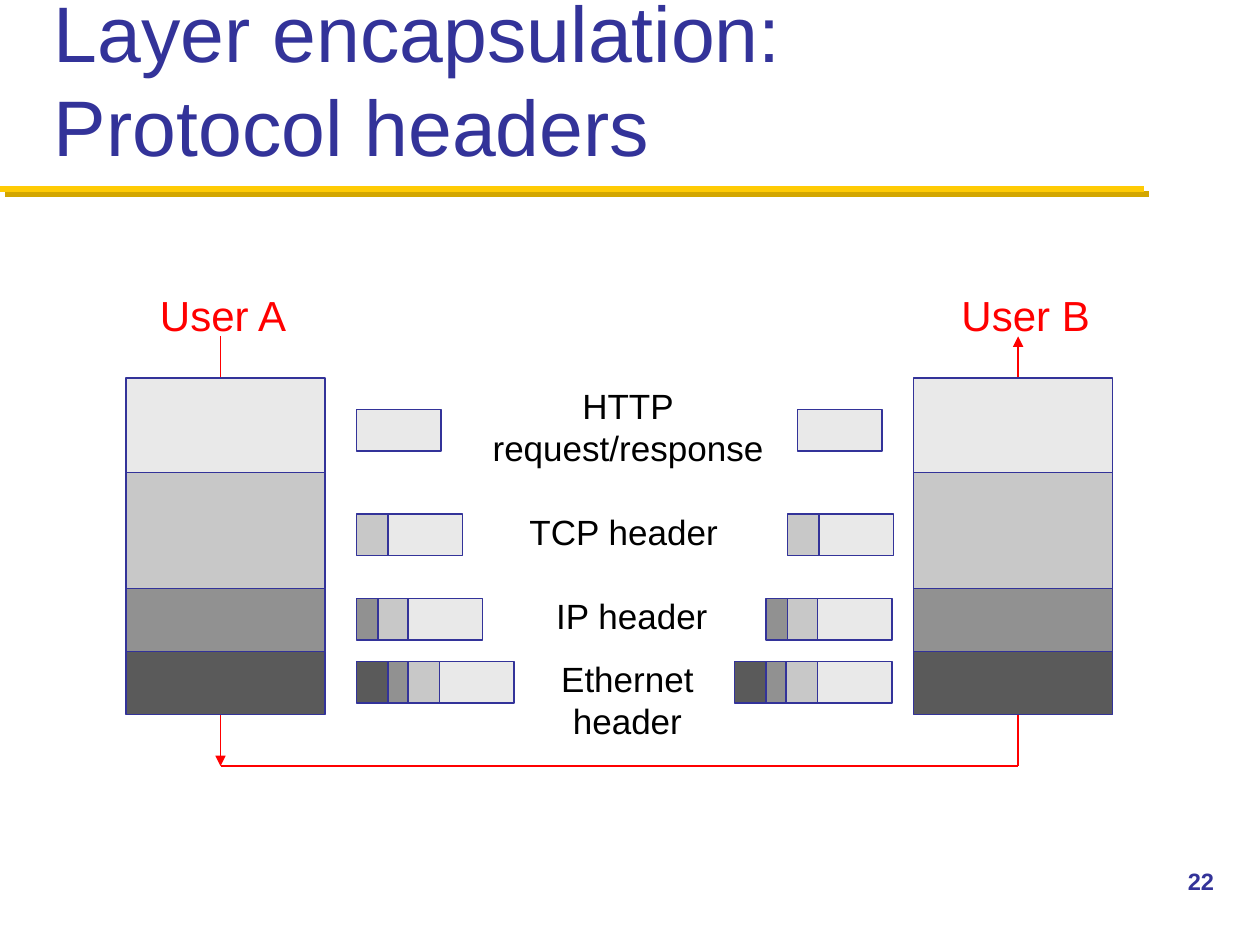
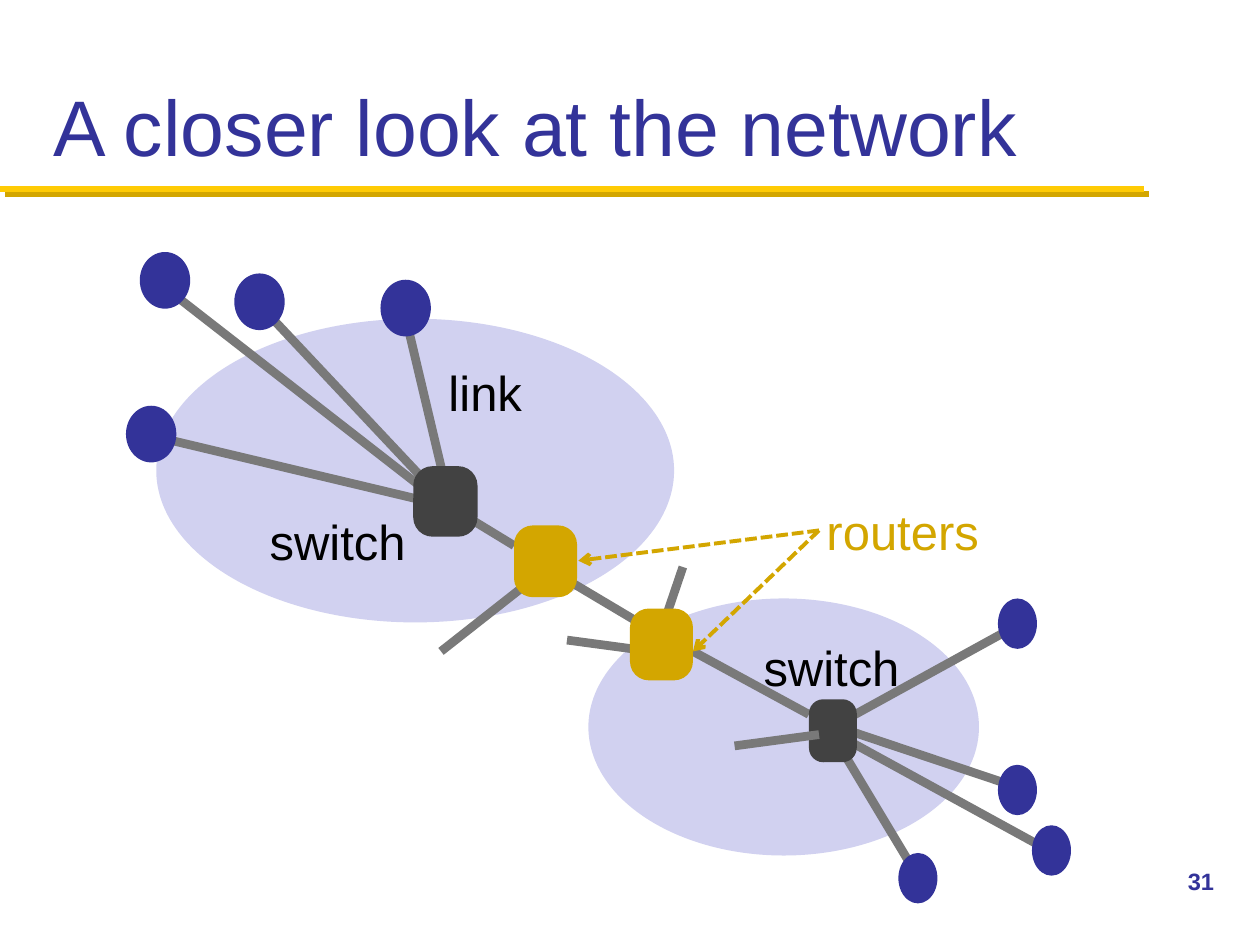
from pptx import Presentation
from pptx.dml.color import RGBColor
from pptx.enum.dml import MSO_LINE
from pptx.enum.shapes import MSO_CONNECTOR, MSO_SHAPE
from pptx.enum.text import MSO_ANCHOR as ANCHOR, PP_ALIGN as ALIGN
from pptx.oxml import parse_xml
from pptx.oxml.ns import nsdecls, qn
from pptx.util import Inches, Pt
from lxml import etree

FONT = "Arial"
NAVY, YELLOW, GOLD = "333399", "FFCB05", "D3A600"
RED, BLACK = "FF0000", "000000"
LINK, SWITCH, AREA = "797979", "424242", "D1D1F0"
# Protocol layers from top to bottom
HTTP, TCP, IP, ETHERNET = "E9E9E9", "C8C8C8", "919191", "5A5A5A"


def rgb(code):
    """Turn a hex string into a colour."""
    return RGBColor.from_string(code)


def shift(origin, x, y):
    """Move a point from a region's own coordinates to the page."""
    return origin[0] + x, origin[1] + y


def add_text(page, box, text, size, color, align=ALIGN.LEFT, anchor=ANCHOR.TOP,
             wrap=False, inset=(0.1, 0.05), bold=False):
    """Add a text box with one style throughout."""
    frame = page.shapes.add_textbox(*map(Inches, box)).text_frame
    frame.word_wrap = wrap
    frame.vertical_anchor = anchor
    frame.margin_left = frame.margin_right = Inches(inset[0])
    frame.margin_top = frame.margin_bottom = Inches(inset[1])
    frame.text = text
    for para in frame.paragraphs:
        para.alignment = align
        for span in para.runs:
            span.font.name = FONT
            span.font.size = Pt(size)
            span.font.bold = bold
            span.font.color.rgb = rgb(color)


def add_block(page, kind, box, fill, outline=None):
    """Add a filled preset shape, outlined only when a colour is given."""
    shape = page.shapes.add_shape(kind, *map(Inches, box))
    shape.shadow.inherit = False
    shape.fill.solid()
    shape.fill.fore_color.rgb = rgb(fill)
    if outline:
        shape.line.color.rgb = rgb(outline)
        shape.line.width = Pt(0.75)
    else:
        shape.line.fill.background()
    if kind == MSO_SHAPE.ROUNDED_RECTANGLE:
        shape.adjustments[0] = 0.3


def add_line(page, start, end, color, width, head=None, dash=None):
    """Add a straight line, with an arrowhead at its end if asked; return its effects."""
    line = page.shapes.add_connector(
        MSO_CONNECTOR.STRAIGHT, *map(Inches, (*start, *end)))
    line.line.color.rgb = rgb(color)
    line.line.width = Pt(width)
    if dash:
        line.line.dash_style = dash
    properties = line._element.spPr
    if head:
        etree.SubElement(properties.find(qn("a:ln")), qn("a:tailEnd"), type=head)
    return etree.SubElement(properties, qn("a:effectLst"))


def new_page(deck, title, number):
    """Start a slide with the shared rule, title and page number."""
    page = deck.slides.add_slide(deck.slide_layouts[6])
    effects = add_line(page, (0, 1.5), (9.08, 1.5), YELLOW, 3.5)
    effects.append(parse_xml(
        f'<a:outerShdw {nsdecls("a")} dist="{Pt(4.2)}" dir="2700000" algn="ctr" '
        f'rotWithShape="0"><a:srgbClr val="{GOLD}"/></a:outerShdw>'))
    add_text(page, (0.33, 0.17, 9.33, 1.25), title, 45, NAVY,
             anchor=ANCHOR.BOTTOM, wrap=True)
    add_text(page, (9.33, 6.83, 0.67, 0.5), str(number), 13.5, NAVY,
             wrap=True, bold=True)
    return page


def add_stack(page, left, top):
    """Draw one user's protocol stack."""
    for height, color in ((0.75, HTTP), (0.92, TCP), (0.5, IP), (0.5, ETHERNET)):
        add_block(page, MSO_SHAPE.RECTANGLE, (left, top, 1.58, height), color, NAVY)
        top += height


def add_packet(page, left, top, pieces):
    """Draw a packet: the payload first, each header overlapping the one before."""
    for offset, width, color in pieces:
        add_block(page, MSO_SHAPE.RECTANGLE,
                  (left + offset, top, width, 0.33), color, NAVY)


def add_encapsulation(page, origin):
    """Draw two stacks, the packets between them and the route of the data."""
    start_x, end_x, user_y, wire_y = 0.75, 7.08, 0.42, 3.83
    for start, end, head in (
            ((start_x, user_y), (start_x, wire_y), "triangle"),
            ((end_x, wire_y), (end_x, user_y), "triangle"),
            ((start_x, wire_y), (end_x, wire_y), None)):
        add_line(page, shift(origin, *start), shift(origin, *end), RED, 0.75, head)

    for x, label_x, user in ((0, 0.16, "User A"), (6.25, 6.53, "User B")):
        add_stack(page, *shift(origin, x, 0.75))
        add_text(page, (*shift(origin, label_x, 0), 1.22, 0.51), user, 24, RED,
                 ALIGN.CENTER)

    # Packet top, left edge on each side, pieces as (offset, width, colour)
    packets = (
        (1, 1.83, 5.33, [(0, 0.67, HTTP)]),
        (1.83, 1.83, 5.25, [(0.17, 0.67, HTTP), (0, 0.25, TCP)]),
        (2.5, 1.83, 5.08, [(0.33, 0.67, HTTP), (0.08, 0.33, TCP), (0, 0.17, IP)]),
        (3, 1.83, 4.83, [(0.58, 0.67, HTTP), (0.33, 0.33, TCP),
                         (0.08, 0.33, IP), (0, 0.25, ETHERNET)]),
    )
    for y, sender_x, receiver_x, pieces in packets:
        for x in (sender_x, receiver_x):
            add_packet(page, *shift(origin, x, y), pieces)

    for x, y, width, height, label in (
            (2.8, 0.75, 2.37, 0.77, "HTTP\nrequest/response"),
            (3.07, 1.75, 1.76, 0.44, "TCP header"),
            (3.13, 2.42, 1.77, 0.44, "IP header"),
            (3.35, 2.92, 1.26, 0.77, "Ethernet\nheader")):
        add_text(page, (*shift(origin, x, y), width, height), label, 20, BLACK,
                 ALIGN.CENTER)


def add_links(page, origin, links):
    """Draw thick grey links given as (x1, y1, x2, y2)."""
    for x1, y1, x2, y2 in links:
        add_line(page, shift(origin, x1, y1), shift(origin, x2, y2), LINK, 5)


def add_nodes(page, origin, kind, size, color, places):
    """Draw equal nodes at the given top left corners."""
    for place in places:
        add_block(page, kind, (*shift(origin, *place), *size), color)


def add_network(page, origin):
    """Draw two local networks joined by routers, with labels."""
    oval, rounded = MSO_SHAPE.OVAL, MSO_SHAPE.ROUNDED_RECTANGLE
    add_nodes(page, origin, oval, (3.1, 2.04), AREA, [(3.67, 2.75)])
    add_nodes(page, origin, oval, (4.11, 2.41), AREA, [(0.24, 0.53)])

    first_lan = [(2.22, 0.52, 2.58, 2.04), (0.21, 1.46, 2.48, 2),
                 (0.32, 0.29, 2.44, 1.94), (1.06, 0.42, 2.48, 1.93)]
    second_lan = [(7.36, 4.77, 5.59, 3.8), (7.06, 2.97, 5.57, 3.79),
                  (5.62, 3.85, 6.28, 4.95), (7.05, 4.24, 5.62, 3.76)]
    backbone = [(3.33, 2.5, 4.17, 3), (4.5, 3.17, 5.42, 3.67),
                (3.08, 2.33, 2.67, 2.08), (3.25, 2.58, 2.5, 3.17),
                (4.17, 3.17, 3.5, 3.08), (4.25, 3, 4.42, 2.5)]
    add_links(page, origin, first_lan + second_lan + backbone)

    add_nodes(page, origin, oval, (0.4, 0.45), NAVY,
              [(0, 1.22), (0.11, 0), (0.86, 0.17), (2.02, 0.22)])
    add_nodes(page, origin, oval, (0.31, 0.4), NAVY,
              [(6.92, 2.75), (6.13, 4.77), (6.92, 4.07), (7.19, 4.55)])
    add_nodes(page, origin, rounded, (0.51, 0.56), SWITCH, [(2.28, 1.7)])
    add_nodes(page, origin, rounded, (0.38, 0.5), SWITCH, [(5.42, 3.55)])
    add_nodes(page, origin, rounded, (0.5, 0.57), GOLD, [(3.08, 2.17), (4, 2.83)])
    add_links(page, origin, [(4.83, 3.92, 5.5, 3.83)])  # ends on top of the switch

    for target in ((3.59, 2.45), (4.5, 3.17)):
        add_line(page, shift(origin, 5.5, 2.21), shift(origin, *target), GOLD, 2.25,
                 "arrow", MSO_LINE.SQUARE_DOT)
    # Each label box is a little wider than its word, so that no word breaks
    for x, y, width, label, color in (
            (5, 3, 1.25, "switch", BLACK), (2.5, 0.82, 0.8, "link", BLACK),
            (5.5, 1.92, 1.4, "routers", GOLD), (1.08, 2, 1.25, "switch", BLACK)):
        add_text(page, (*shift(origin, x, y), width, 0.58), label, 28, color,
                 anchor=ANCHOR.MIDDLE, wrap=True, inset=(0.06, 0.06))


deck = Presentation()
deck.slide_width, deck.slide_height = Inches(10), Inches(7.5)
add_encapsulation(
    new_page(deck, "Layer encapsulation: \vProtocol headers", 22), (1, 2.25))
add_network(new_page(deck, "A closer look at the network", 31), (1, 2))
deck.save("out.pptx")
